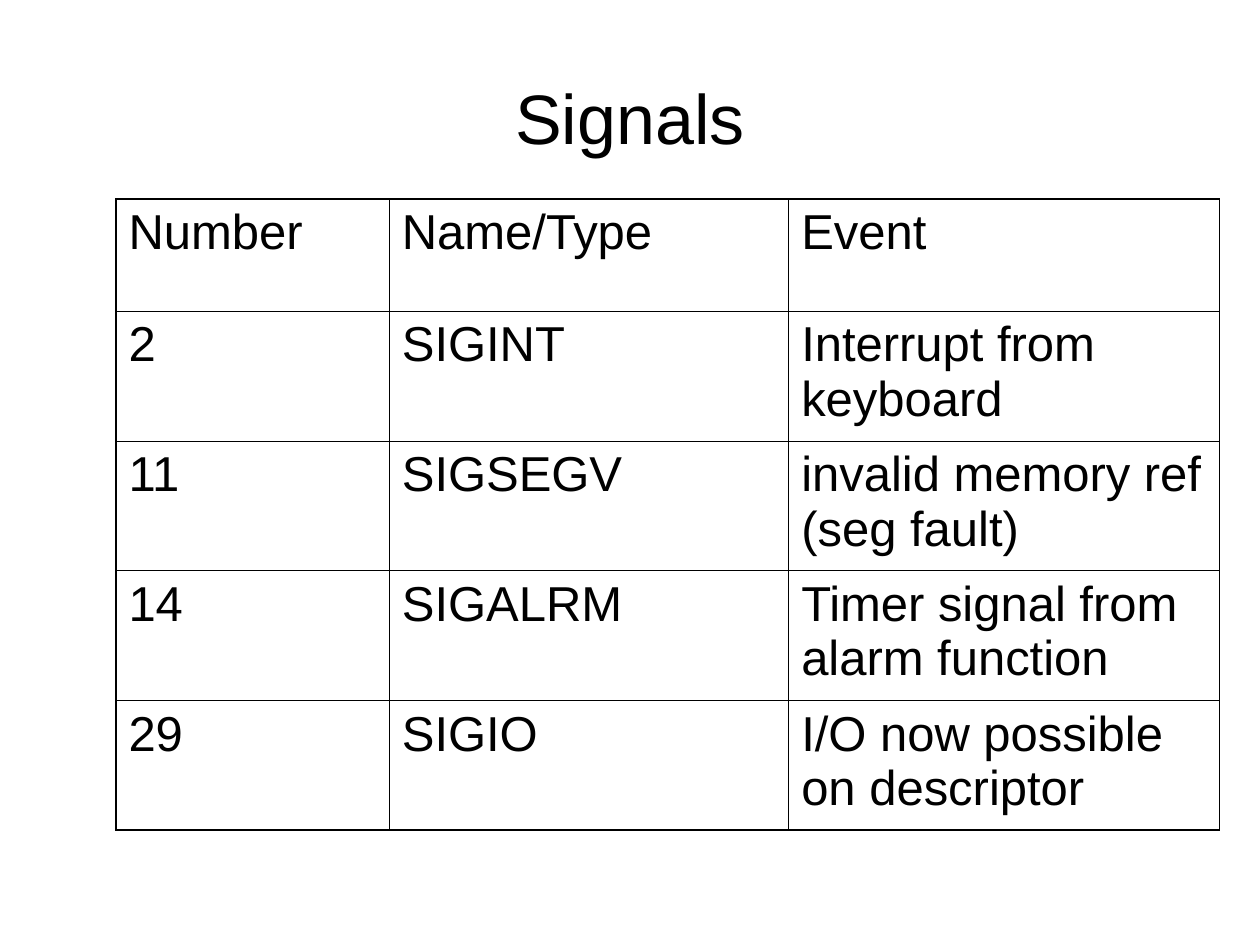
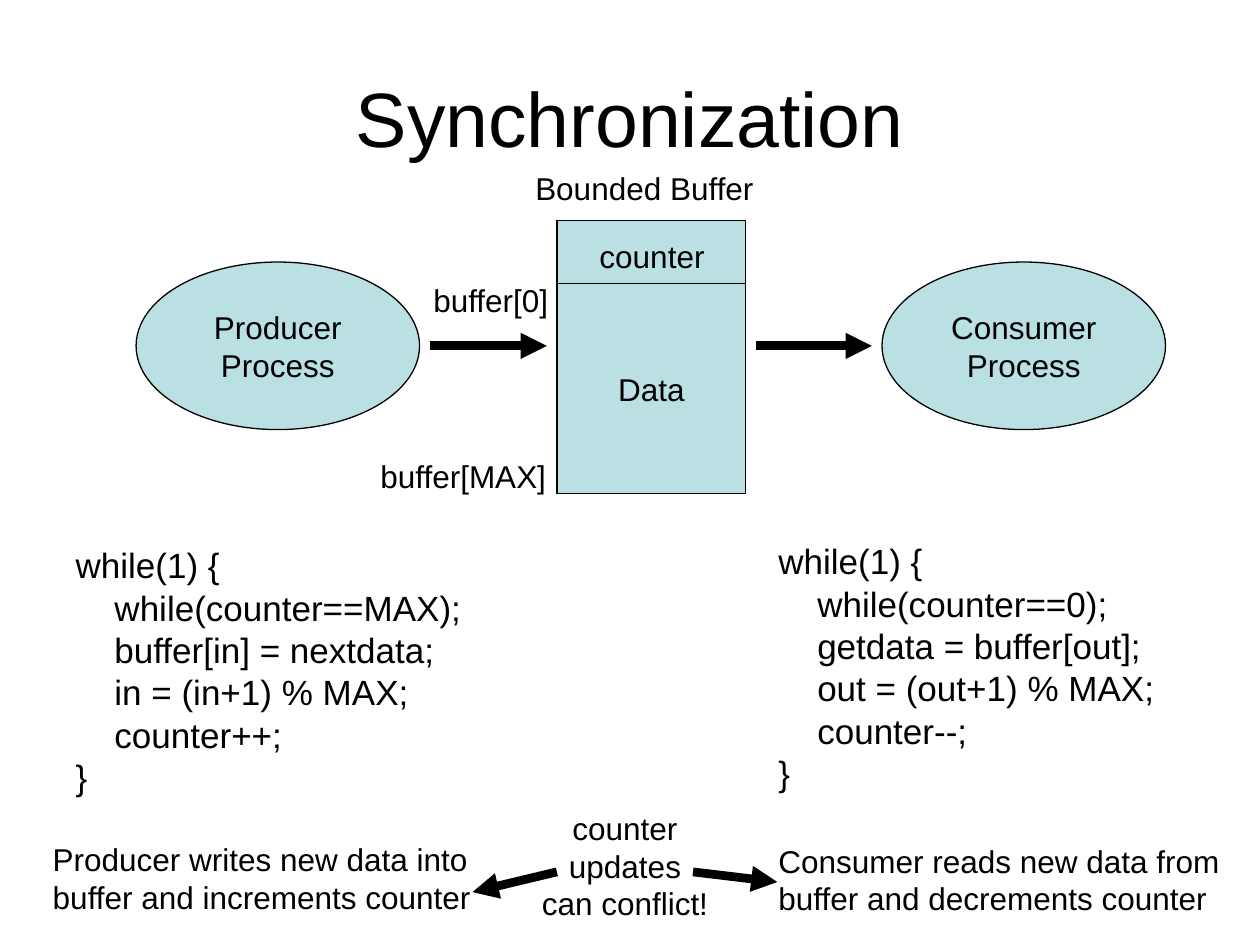
from dataclasses import dataclass

from lxml.etree import SubElement
from pptx import Presentation
from pptx.dml.color import RGBColor
from pptx.enum.shapes import MSO_CONNECTOR, MSO_SHAPE as Shape
from pptx.enum.text import MSO_ANCHOR as Anchor, MSO_AUTO_SIZE as AutoSize, PP_ALIGN as Align
from pptx.oxml.ns import qn
from pptx.util import Inches, Pt


@dataclass(frozen=True)
class Theme:
    font: str = "Arial"
    ink: RGBColor = RGBColor(0x00, 0x00, 0x00)
    fill: RGBColor = RGBColor(0xBB, 0xE0, 0xE3)
    table_size: int = 28
    code_size: int = 20
    label_size: int = 18
    outline: float = 0.75
    arrow: float = 5
    outer_border: float = 1.08
    inner_border: float = 0.45


THEME = Theme()
TITLE_BOX = (0.5, 0.3, 9, 1.25)
TITLE_ONLY, TITLE_AND_BODY = 5, 1

SIGNALS = [
    ("Number", "Name/Type", "Event"),
    ("2", "SIGINT", "Interrupt from keyboard"),
    ("11", "SIGSEGV", "invalid memory ref (seg fault)"),
    ("14", "SIGALRM", "Timer signal from alarm function"),
    ("29", "SIGIO", "I/O now possible on descriptor"),
]
PRODUCER_CODE = [
    "while(1) {",
    "    while(counter==MAX);",
    "    buffer[in] = nextdata;",
    "    in = (in+1) % MAX;",
    "    counter++;",
    "}",
]
CONSUMER_CODE = [
    "while(1) {",
    "    while(counter==0);",
    "    getdata = buffer[out];",
    "    out = (out+1) % MAX;",
    "    counter--;",
    "}",
]


def inches(box):
    return [Inches(v) for v in box]


def place(sp, box):
    sp.left, sp.top, sp.width, sp.height = inches(box)


def write(tf, lines, size, align=Align.LEFT):
    """Fill a text frame with one paragraph per line and return the paragraphs."""
    for i, line in enumerate(lines):
        p = tf.paragraphs[0] if i == 0 else tf.add_paragraph()
        p.alignment = align
        r = p.add_run()
        r.text = line
        r.font.name, r.font.size = THEME.font, Pt(size)
        r.font.color.rgb = THEME.ink
    return tf.paragraphs


def add_titled_slide(prs, layout, title, size):
    slide = prs.slides.add_slide(prs.slide_layouts[layout])
    sp = slide.shapes.title
    place(sp, TITLE_BOX)
    sp.text_frame.auto_size = AutoSize.NONE
    sp.text_frame.vertical_anchor = Anchor.MIDDLE
    write(sp.text_frame, [title], size, Align.CENTER)
    return slide


def add_label(shapes, box, *lines, align=Align.LEFT):
    tf = shapes.add_textbox(*inches(box)).text_frame
    tf.word_wrap, tf.auto_size = False, AutoSize.SHAPE_TO_FIT_TEXT
    write(tf, lines, THEME.label_size, align)


def add_block(shapes, kind, box, *lines):
    sp = shapes.add_shape(kind, *inches(box))
    sp.shadow.inherit = False
    sp.fill.solid()
    sp.fill.fore_color.rgb = THEME.fill
    sp.line.color.rgb, sp.line.width = THEME.ink, Pt(THEME.outline)
    tf = sp.text_frame
    tf.word_wrap, tf.vertical_anchor = False, Anchor.MIDDLE
    write(tf, lines, THEME.label_size, Align.CENTER)


def add_arrow(shapes, start, end):
    line = shapes.add_connector(MSO_CONNECTOR.STRAIGHT, *inches(start + end))
    line.line.color.rgb, line.line.width = THEME.ink, Pt(THEME.arrow)
    SubElement(line.line._get_or_add_ln(), qn("a:tailEnd"), type="triangle")
    SubElement(line._element.spPr, qn("a:effectLst"))


def write_code(tf, lines):
    tf.word_wrap, tf.auto_size = True, AutoSize.NONE
    for i, p in enumerate(write(tf, lines, THEME.code_size)):
        pPr = p._p.get_or_add_pPr()
        pPr.set("marL", str(Inches(0.38)))
        pPr.set("indent", str(-Inches(0.38)))
        SubElement(pPr, qn("a:buNone"))
        p.line_spacing = 0.8
        p.space_before = Pt(5 if i else 0)


def set_border(cell, side, width):
    ln = SubElement(cell._tc.get_or_add_tcPr(), qn(f"a:ln{side}"), w=str(Pt(width)))
    SubElement(SubElement(ln, qn("a:solidFill")), qn("a:srgbClr"), val=str(THEME.ink))


def add_signal_table(slide, left, top, widths, heights):
    rows, cols = len(heights), len(widths)
    box = (left, top, sum(widths), sum(heights))
    table = slide.shapes.add_table(rows, cols, *inches(box)).table
    table.first_row = table.horz_banding = False
    for column, width in zip(table.columns, widths):
        column.width = Inches(width)
    for row, height in zip(table.rows, heights):
        row.height = Inches(height)
    for i, texts in enumerate(SIGNALS):
        for j, text in enumerate(texts):
            cell = table.cell(i, j)
            write(cell.text_frame, [text], THEME.table_size)
            edges = {"L": j == 0, "R": j == cols - 1, "T": i == 0, "B": i == rows - 1}
            for side, is_outer in edges.items():
                set_border(cell, side, THEME.outer_border if is_outer else THEME.inner_border)
            cell.fill.background()


def add_buffer(shapes, box):
    x, y, w, h = box
    counter_height = 0.5
    add_block(shapes, Shape.RECTANGLE, box)
    add_block(shapes, Shape.RECTANGLE, (x, y + counter_height, w, h - counter_height), "Data")
    add_label(shapes, (x - 0.27, y - 0.46, 1.94, 0.4), "Bounded Buffer")
    add_label(shapes, (x + 0.24, y + 0.08, 1.06, 0.4), "counter")
    add_label(shapes, (x - 1.08, y + 0.43, 1.11, 0.4), "buffer[0]")
    add_label(shapes, (x - 1.5, y + 1.83, 1.52, 0.4), "buffer[MAX]")


def add_data_flow(shapes, box):
    """Draw producer, buffer and consumer from left to right with arrows between."""
    x, y, w, h = box
    process_w, process_h, gap = 2.25, 1.33, 0.08
    buffer_x, buffer_w = x + 3.34, 1.5
    process_y = y + 0.33
    consumer_x = x + w - process_w
    middle = process_y + process_h / 2
    add_buffer(shapes, (buffer_x, y, buffer_w, h))
    for left, name in ((x, "Producer"), (consumer_x, "Consumer")):
        add_block(shapes, Shape.OVAL, (left, process_y, process_w, process_h), name, "Process")
    for start, end in ((x + process_w, buffer_x), (buffer_x + buffer_w, consumer_x)):
        add_arrow(shapes, (start + gap, middle), (end - gap, middle))


def add_conflict_note(slide, box):
    x, y, w, h = box
    shapes = slide.shapes.add_group_shape().shapes
    add_label(shapes, box, "counter", "updates", "can conflict!", align=Align.CENTER)
    start_y = y + 0.55
    add_arrow(shapes, (x + 1.3, start_y), (x + 1.97, y + 0.63))
    add_arrow(shapes, (x + 0.22, start_y), (x - 0.45, y + 0.71))


def build_signals(prs):
    slide = add_titled_slide(prs, TITLE_ONLY, "Signals", 40)
    add_signal_table(slide, 0.92, 1.58, [2.17, 3.17, 3.42], [0.89] + [1.03] * 4)


def build_synchronization(prs):
    slide = add_titled_slide(prs, TITLE_AND_BODY, "Synchronization", 44)
    shapes = slide.shapes
    body = slide.placeholders[1]
    place(body, (0.5, 4.33, 3.67, 2.37))
    write_code(body.text_frame, PRODUCER_CODE)
    add_data_flow(shapes, (1.08, 1.75, 8.17, 2.17))
    consumer = shapes.add_textbox(*inches((6.08, 4.3, 3.67, 2.37)))
    write_code(consumer.text_frame, CONSUMER_CODE)
    add_label(shapes, (0.32, 6.62, 3.52, 0.7),
              "Producer writes new data into", "buffer and increments counter")
    add_label(shapes, (6.08, 6.63, 3.7, 0.7),
              "Consumer reads new data from", "buffer and decrements counter")
    add_conflict_note(slide, (4.2, 6.37, 1.52, 1))


def main():
    prs = Presentation()
    prs.slide_width, prs.slide_height = Inches(10), Inches(7.5)
    build_signals(prs)
    build_synchronization(prs)
    prs.save("out.pptx")


if __name__ == "__main__":
    main()
